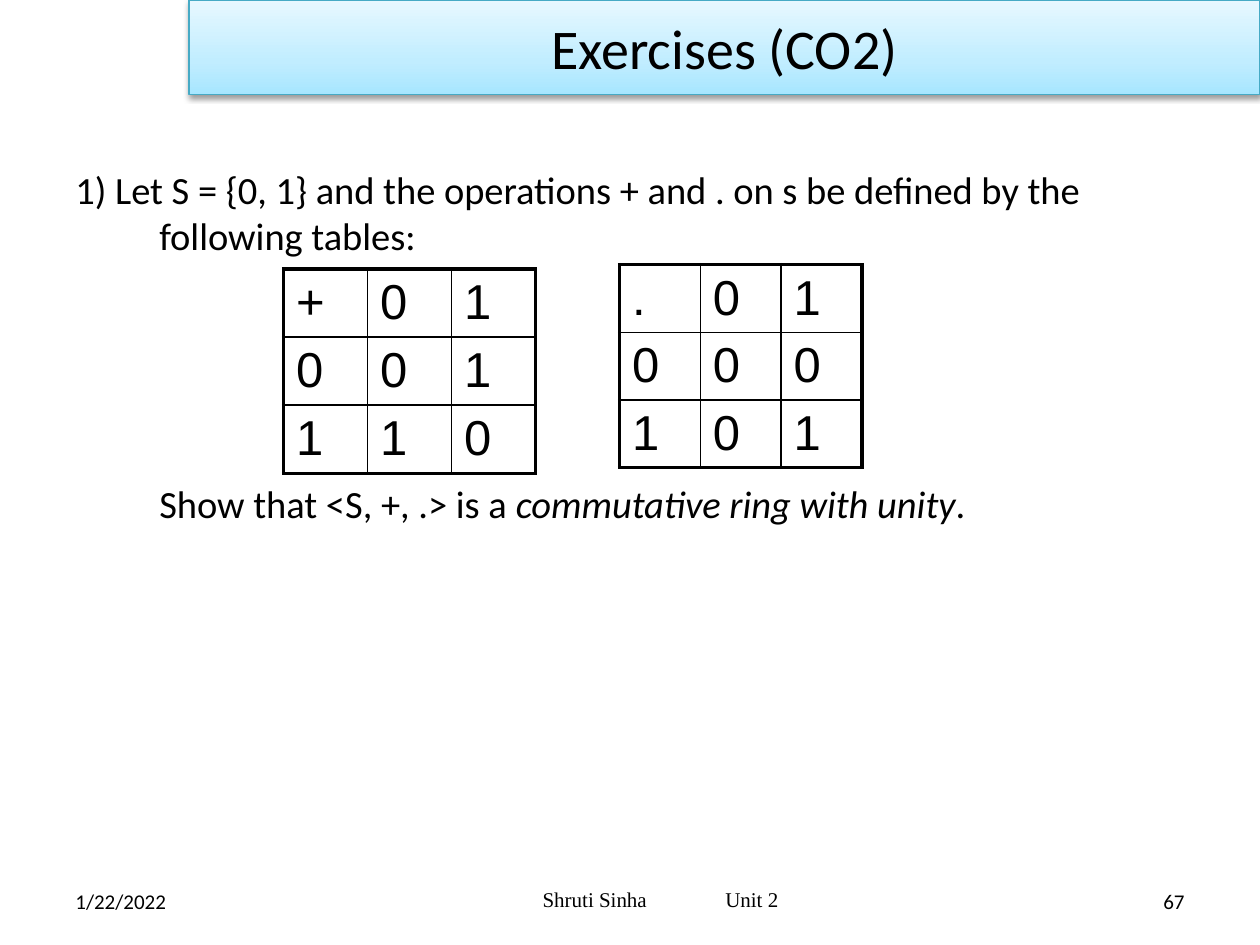
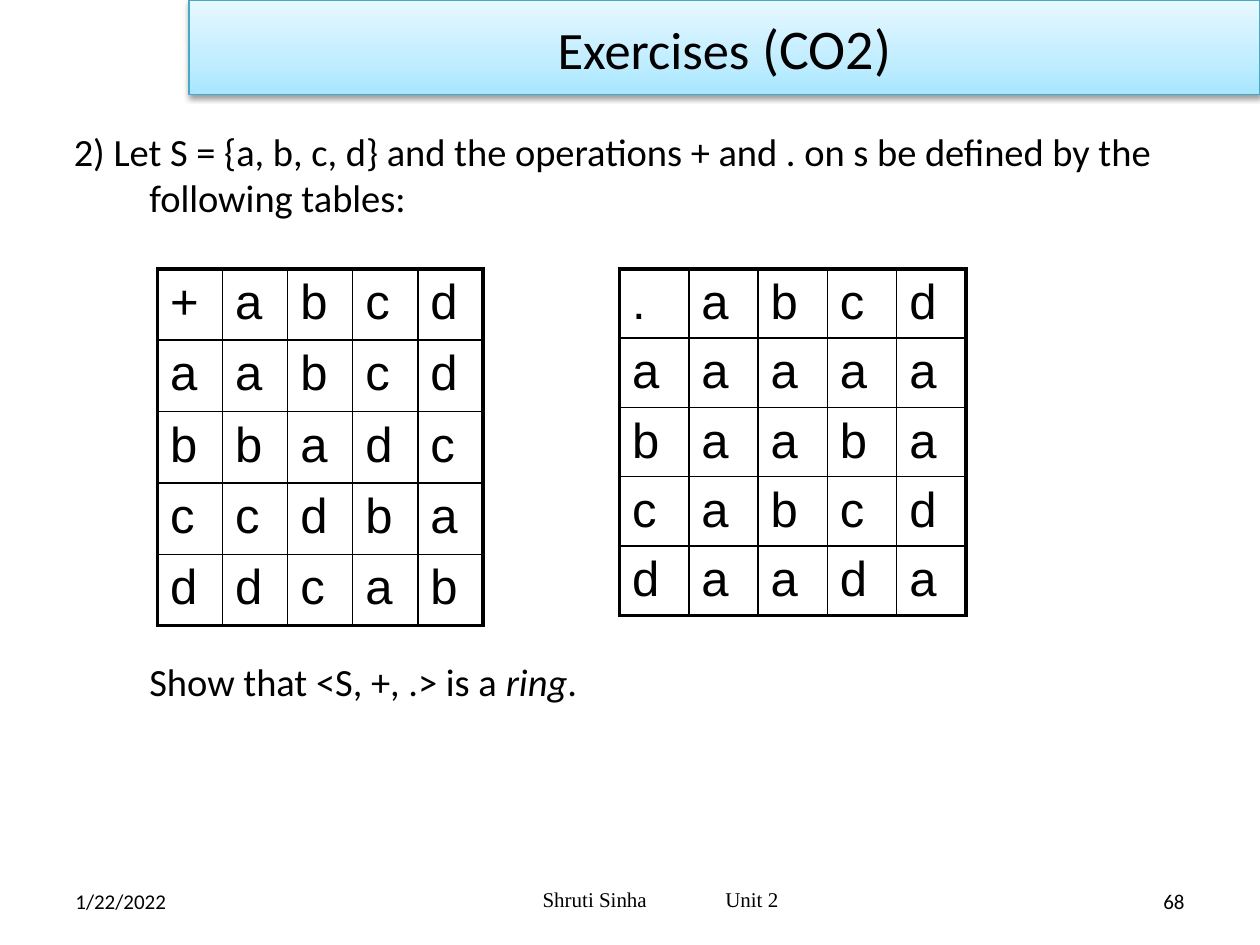
from lxml.etree import SubElement
from pptx import Presentation
from pptx.dml.color import RGBColor
from pptx.enum.shapes import MSO_SHAPE
from pptx.enum.text import MSO_ANCHOR, PP_ALIGN
from pptx.oxml import parse_xml
from pptx.oxml.ns import nsdecls, qn
from pptx.util import Emu, Inches, Pt

COLUMNS, ROWS = 120, 90
UNIT = Inches(10) / COLUMNS
COLORS = {
    "text": "000000",
    "border": "000000",
    "banner_line": "46AAC5",
    "banner_bottom": "A7E6FF",
    "banner_middle": "C1EDFF",
    "banner_top": "E7F8FF",
}
BANNER_STOPS = {0: "banner_bottom", 35: "banner_middle", 100: "banner_top"}
FORMATS = {
    "title": {"name": "Calibri", "size": Pt(32)},
    "small_title": {"name": "Calibri", "size": Pt(30)},
    "body": {"name": "Calibri", "size": Pt(22)},
    "emphasis": {"name": "Calibri", "size": Pt(22), "italic": True},
    "cell": {"name": "Arial", "size": Pt(28)},
    "footer": {"name": "Calibri", "size": Pt(12)},
    "author": {"name": "Times New Roman", "size": Pt(12)},
}
OUTER_BORDER, INNER_BORDER = Pt(2.25), Pt(1)

EXERCISES = [
    {
        "number": "67",
        "title": [("Exercises (CO2)", "title")],
        "body_at": (6, 15.2, 109, 41.8),
        "indent": 8,
        "question": "1) Let S = {0, 1} and the operations + and . on s "
                    "be defined by the following tables:",
        "task": ("commutative ring with unity", 127),
        "tables": [
            (["+01", "001", "110"], (27, 25.6), (8, 6.5)),
            ([".01", "000", "101"], (59, 25.2), (7.7, 6.4)),
        ],
    },
    {
        "number": "68",
        "title": [("Exercises", "small_title"), (" (CO2)", "title")],
        "body_at": (5.85, 11.6, 108, 62.4),
        "indent": 7.2,
        "question": "2) Let S = {a, b, c, d} and the operations + and . on s "
                    "be defined by the following tables:",
        "task": ("ring", 250),
        "tables": [
            (["+abcd", "aabcd", "bbadc", "ccdba", "ddcab"], (15, 25.6), (6.2, 6.8)),
            ([".abcd", "aaaaa", "baaba", "cabcd", "daada"], (59, 25.6), (6.6, 6.6)),
        ],
    },
]


def grid(*cells):
    return [Emu(round(cell * UNIT)) for cell in cells]


def set_attributes(target, values):
    for name, value in values.items():
        setattr(target, name, value)


def add_runs(paragraph, runs):
    for text, style in runs:
        run = paragraph.add_run()
        run.text = text
        set_attributes(run.font, FORMATS[style])
        run.font.color.rgb = RGBColor.from_string(COLORS["text"])


def add_text(slide, position, runs, anchor=MSO_ANCHOR.MIDDLE, alignment=PP_ALIGN.LEFT):
    frame = slide.shapes.add_textbox(*grid(*position)).text_frame
    set_attributes(frame, {"word_wrap": True, "vertical_anchor": anchor})
    paragraph = frame.paragraphs[0]
    paragraph.alignment = alignment
    add_runs(paragraph, runs)
    return frame


def set_indent(paragraph, margin, first_line):
    properties = paragraph._p.get_or_add_pPr()
    for name, value in zip(("marL", "indent"), grid(margin, first_line)):
        properties.set(name, str(value))


def add_banner(slide, runs):
    shape = slide.shapes.add_shape(MSO_SHAPE.RECTANGLE, *grid(18, 0, 102, 9))
    shape.line.color.rgb = RGBColor.from_string(COLORS["banner_line"])
    shape.line.width = Pt(0.75)
    stops = "".join(
        f'<a:gs pos="{share * 1000}"><a:srgbClr val="{COLORS[color]}"/></a:gs>'
        for share, color in BANNER_STOPS.items()
    )
    gradient = parse_xml(
        f'<a:gradFill {nsdecls("a")} rotWithShape="1"><a:gsLst>{stops}</a:gsLst>'
        '<a:lin ang="16200000" scaled="0"/></a:gradFill>'
    )
    properties = shape._element.spPr
    properties.find(qn("a:prstGeom")).addnext(gradient)
    shape.shadow.inherit = False
    properties.find(qn("a:effectLst")).append(parse_xml(
        f'<a:outerShdw {nsdecls("a")} blurRad="40000" dist="20000" dir="5400000" '
        'rotWithShape="0"><a:srgbClr val="000000"><a:alpha val="38000"/>'
        '</a:srgbClr></a:outerShdw>'
    ))
    shape.text_frame.vertical_anchor = MSO_ANCHOR.MIDDLE
    paragraph = shape.text_frame.paragraphs[0]
    paragraph.alignment = PP_ALIGN.CENTER
    add_runs(paragraph, runs)


def add_footer(slide, number):
    add_text(slide, (6, 83.4, 28, 4.8), [("1/22/2022", "footer")])
    add_text(slide, (86, 83.4, 28, 4.8), [(number, "footer")], alignment=PP_ALIGN.RIGHT)
    frame = add_text(slide, (50.5, 83.2, 25, 4.8), [])
    paragraph = frame.paragraphs[0]
    tabs = SubElement(paragraph._p.get_or_add_pPr(), qn("a:tabLst"))
    SubElement(tabs, qn("a:tab"), pos=str(Inches(1.45)), algn="l")
    add_runs(paragraph, [("Shruti Sinha\tUnit 2", "author")])


def add_exercise_text(slide, exercise):
    frame = add_text(slide, exercise["body_at"], [(exercise["question"], "body")],
                     anchor=MSO_ANCHOR.TOP)
    indent = exercise["indent"]
    set_indent(frame.paragraphs[0], indent, -indent)
    structure, gap = exercise["task"]
    task = frame.add_paragraph()
    set_indent(task, indent, 0)
    task.space_before = Pt(gap)
    add_runs(task, [("Show that <S, +, .> is a ", "body"),
                    (structure, "emphasis"), (".", "body")])


def set_borders(cell, outer_sides):
    properties = cell._tc.get_or_add_tcPr()
    for index, side in enumerate("LRTB"):
        width = OUTER_BORDER if side in outer_sides else INNER_BORDER
        properties.insert(index, parse_xml(
            f'<a:ln{side} {nsdecls("a")} w="{width}"><a:solidFill>'
            f'<a:srgbClr val="{COLORS["border"]}"/></a:solidFill></a:ln{side}>'
        ))


def add_operation_table(slide, lines, corner, cell_size):
    count = len(lines)
    size = [count * length for length in cell_size]
    table = slide.shapes.add_table(count, count, *grid(*corner, *size)).table
    set_attributes(table, {"first_row": False, "horz_banding": False})
    width, height = grid(*cell_size)
    for column in table.columns:
        column.width = width
    margins = {"margin_left": Inches(0.1), "margin_right": Inches(0.1),
               "margin_top": Inches(0.05), "margin_bottom": Inches(0.02)}
    last = count - 1
    for row, line in enumerate(lines):
        table.rows[row].height = height
        for column, symbol in enumerate(line):
            cell = table.cell(row, column)
            set_attributes(cell, margins)
            cell.fill.background()
            edges = {"L": column == 0, "R": column == last,
                     "T": row == 0, "B": row == last}
            set_borders(cell, [side for side, outer in edges.items() if outer])
            add_runs(cell.text_frame.paragraphs[0], [(symbol, "cell")])


def main():
    presentation = Presentation()
    presentation.slide_width, presentation.slide_height = grid(COLUMNS, ROWS)
    for exercise in EXERCISES:
        slide = presentation.slides.add_slide(presentation.slide_layouts[6])
        add_banner(slide, exercise["title"])
        add_footer(slide, exercise["number"])
        add_exercise_text(slide, exercise)
        for lines, corner, cell_size in exercise["tables"]:
            add_operation_table(slide, lines, corner, cell_size)
    presentation.save("out.pptx")


if __name__ == "__main__":
    main()
